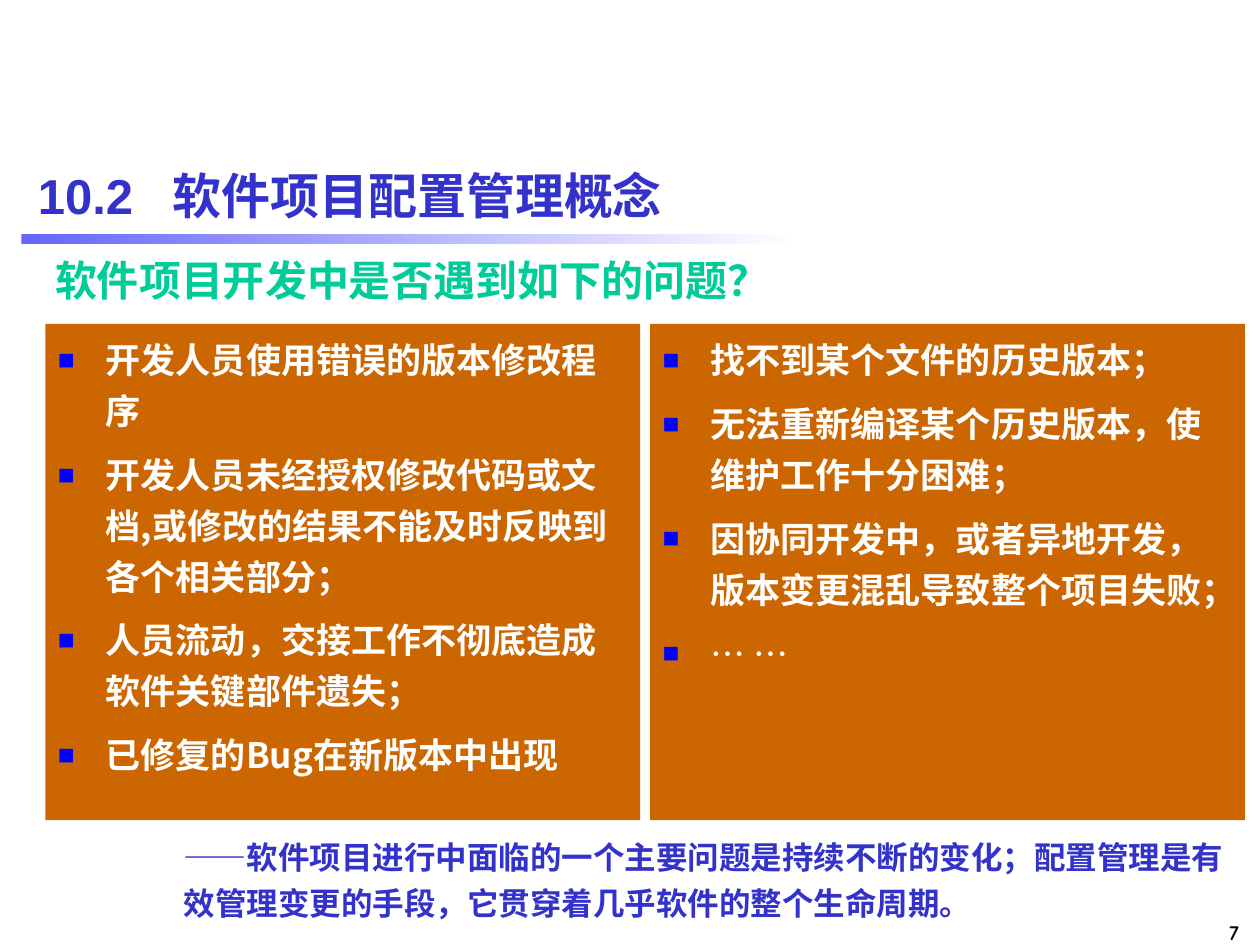
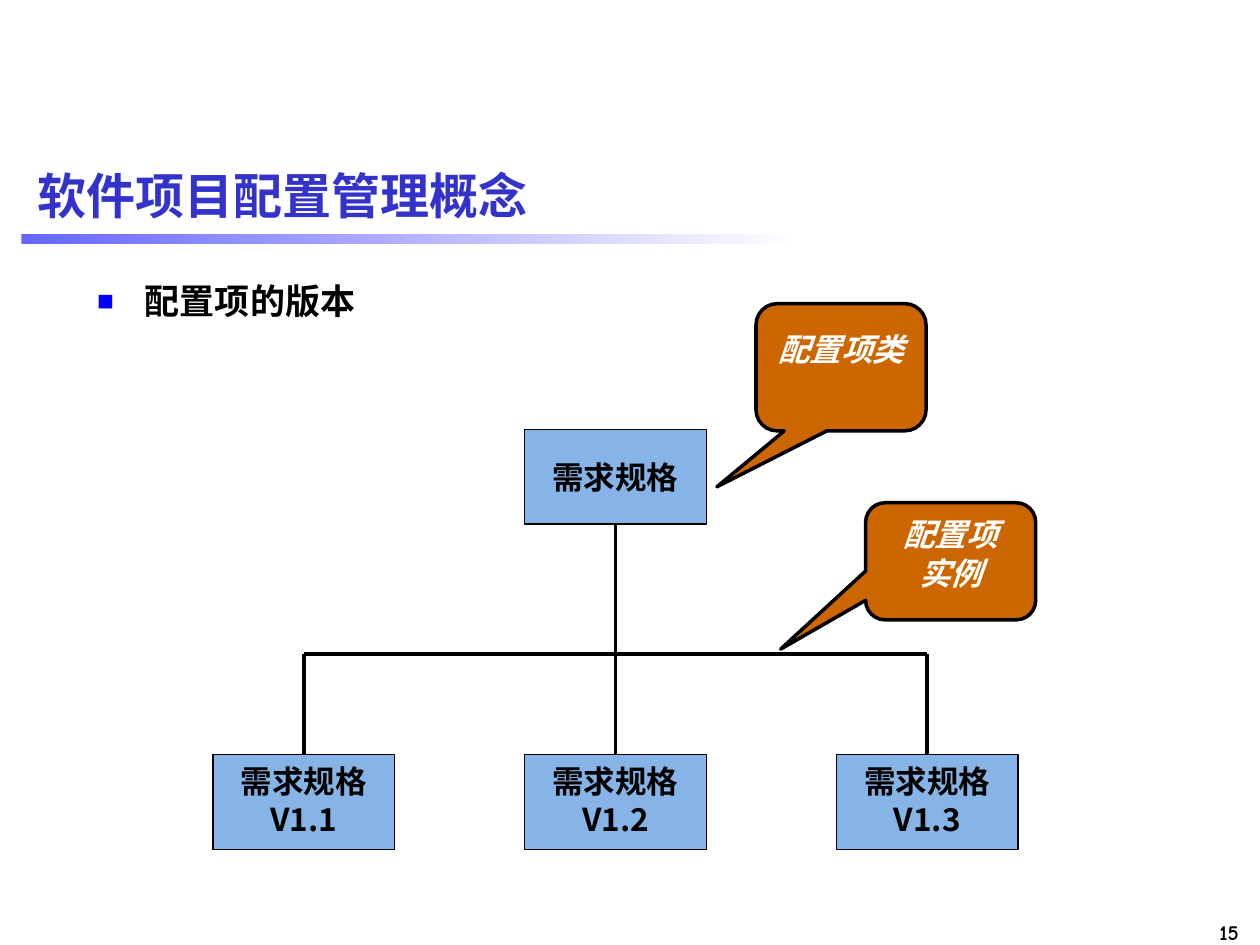
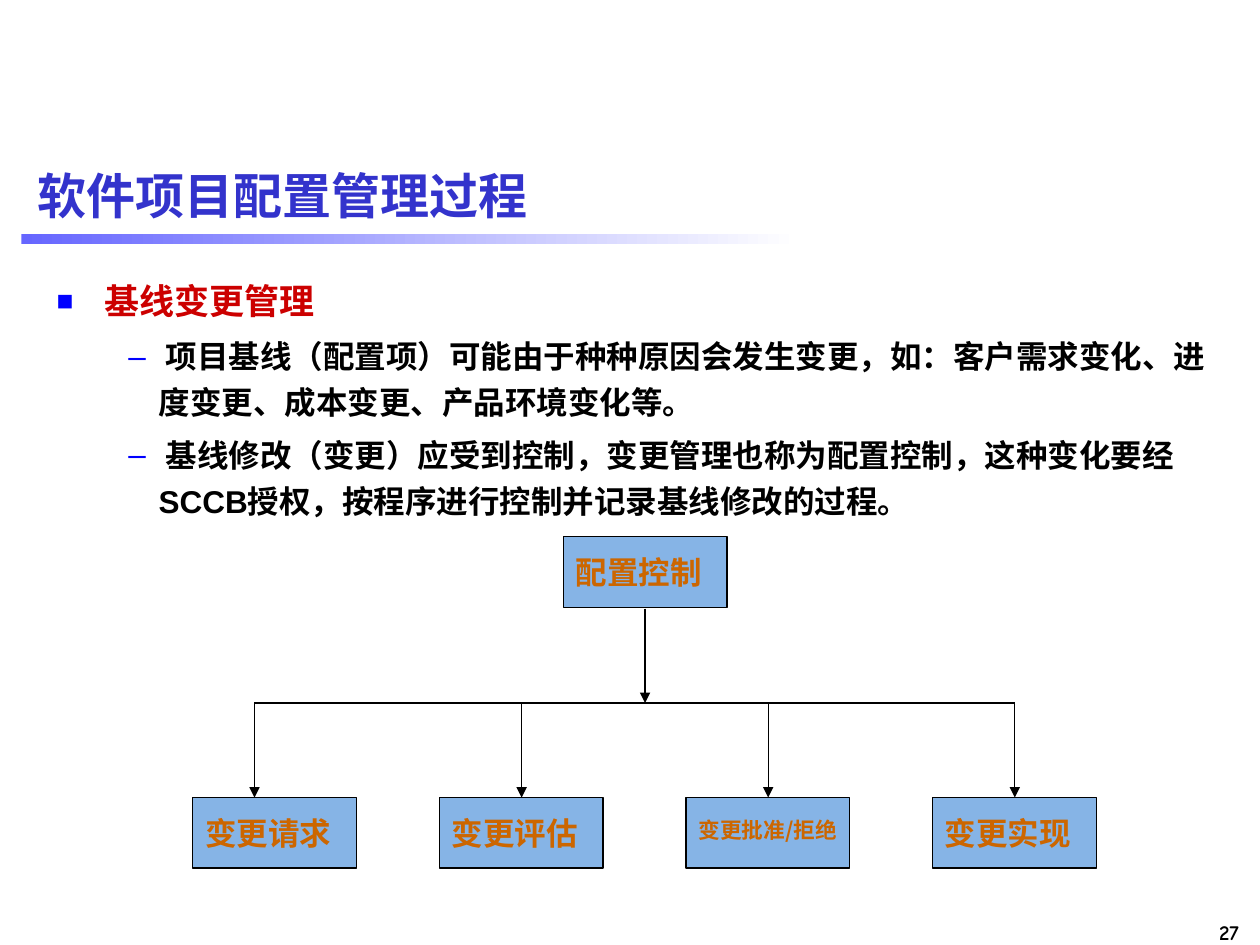
from lxml.etree import SubElement
from pptx import Presentation
from pptx.dml.color import RGBColor
from pptx.enum.shapes import MSO_CONNECTOR, MSO_SHAPE
from pptx.enum.text import MSO_ANCHOR, MSO_AUTO_SIZE, PP_ALIGN
from pptx.oxml.ns import qn
from pptx.util import Inches, Pt

COLORS = {
    "title": "3333CC",
    "band": "6666FF",
    "question": "00CC99",
    "panel": "CC6600",
    "box": "86B4E6",
    "bullet": "0000FF",
    "heading": "CC0000",
    "black": "000000",
    "white": "FFFFFF",
}
HAN = "Noto Sans CJK SC"
ARIAL = "Arial"
TIMES = "Times New Roman"
NUMBER_FACE = "Comic Neue"
LINE_HEIGHT = 1.21
TITLE_AND_BODY, TWO_BODIES = 1, 3


def rgb(name):
    return RGBColor.from_string(COLORS[name])


def style_run(run, size, color, face=HAN, bold=True, italic=False):
    font = run.font
    font.size = Pt(size)
    font.bold = bold
    font.italic = italic
    font.color.rgb = rgb(color)
    font.name = face
    SubElement(run._r.get_or_add_rPr(), qn("a:ea"), typeface=HAN)


def style_paragraph(paragraph, size, color, face=HAN, align=PP_ALIGN.LEFT,
                    spacing=1, before=0, bold=True, italic=False):
    paragraph.alignment = align
    paragraph.line_spacing = Pt(round(size * LINE_HEIGHT * spacing))
    paragraph.space_before = Pt(before)
    for run in paragraph.runs:
        style_run(run, size, color, face, bold, italic)


def set_frame(frame, anchor=MSO_ANCHOR.TOP, side=0.1, edge=0.05, bottom=None):
    frame.word_wrap = True
    frame.auto_size = MSO_AUTO_SIZE.NONE
    frame.vertical_anchor = anchor
    frame.margin_left = frame.margin_right = Inches(side)
    frame.margin_top = Inches(edge)
    frame.margin_bottom = Inches(edge if bottom is None else bottom)


def place(shape, left, top, width, height):
    shape.left, shape.top = Inches(left), Inches(top)
    shape.width, shape.height = Inches(width), Inches(height)


def add_bullet(paragraph, mark, margin, hang):
    properties = paragraph._p.get_or_add_pPr()
    properties.set("marL", str(Inches(margin)))
    properties.set("indent", str(-Inches(hang)))
    color = SubElement(properties, qn("a:buClr"))
    SubElement(color, qn("a:srgbClr"), val=COLORS["bullet"])
    if mark == "■":
        SubElement(properties, qn("a:buSzPct"), val="80000")
    SubElement(properties, qn("a:buFont"), typeface=ARIAL)
    SubElement(properties, qn("a:buChar"), char=mark)


def fill_list(body, area, items, color, spacing=1.2):
    place(body, *area)
    frame = body.text_frame
    frame.text = "\n".join(items)
    set_frame(frame)
    for order, paragraph in enumerate(frame.paragraphs):
        add_bullet(paragraph, "■", 0.38, 0.38)
        style_paragraph(paragraph, 20, color, spacing=spacing,
                        before=7.5 if order else 0)


def add_sub_item(frame, pieces):
    paragraph = frame.add_paragraph()
    paragraph.level = 1
    add_bullet(paragraph, "–", 0.81, 0.24)
    style_paragraph(paragraph, 18, "black", spacing=1.2, before=4.5)
    for text, face in pieces:
        run = paragraph.add_run()
        run.text = text
        style_run(run, 18, "black", face)


def add_text(slide, area, text, size, color, face, side=0, edge=0, **layout):
    frame = slide.shapes.add_textbox(*map(Inches, area)).text_frame
    frame.text = text
    set_frame(frame, side=side, edge=edge)
    style_paragraph(frame.paragraphs[0], size, color, face, **layout)
    return frame


def add_band(slide):
    band = slide.shapes.add_shape(MSO_SHAPE.RECTANGLE, Inches(0.17), Inches(1.86),
                                  Inches(6.17), Inches(0.08))
    band.shadow.inherit = False
    band.line.fill.background()
    band.fill.gradient()
    band.fill.gradient_angle = 0
    for stop, color in zip(band.fill.gradient_stops, ("band", "white")):
        stop.color.rgb = rgb(color)


def add_slide(deck, layout, heading, number):
    slide = deck.slides.add_slide(deck.slide_layouts[layout])
    add_band(slide)
    title = slide.shapes.title
    place(title, 0.2, 1.15, 9.61, 0.79)
    title.text_frame.text = heading
    set_frame(title.text_frame, MSO_ANCHOR.MIDDLE)
    style_paragraph(title.text_frame.paragraphs[0], 28, "title", ARIAL)
    add_text(slide, (9.01, 7.24, 0.92, 0.26), number, 12, "black", NUMBER_FACE,
             side=0.1, edge=0.05, align=PP_ALIGN.RIGHT)
    return slide


def add_label(slide, kind, area, text, fill, weight, size, color, face,
              anchor=MSO_ANCHOR.MIDDLE, bottom=0.05, **layout):
    label = slide.shapes.add_shape(kind, *map(Inches, area))
    label.shadow.inherit = False
    label.fill.solid()
    label.fill.fore_color.rgb = rgb(fill)
    label.line.color.rgb = rgb("black")
    label.line.width = Pt(weight)
    label.text_frame.text = text
    set_frame(label.text_frame, anchor, bottom=bottom)
    for paragraph in label.text_frame.paragraphs:
        style_paragraph(paragraph, size, color, face, **layout)
    return label


def add_box(slide, area, text, size=18, color="black", face=HAN, **layout):
    add_label(slide, MSO_SHAPE.RECTANGLE, area, text, "box", 0.75,
              size, color, face, **layout)


def add_callout(slide, area, text, tip, **layout):
    callout = add_label(slide, MSO_SHAPE.ROUNDED_RECTANGULAR_CALLOUT, area, text,
                        "panel", 2, 18, "white", TIMES, align=PP_ALIGN.CENTER,
                        italic=True, **layout)
    callout.adjustments[0], callout.adjustments[1] = tip
    callout.adjustments[2] = 0.167


def add_line(slide, start, end, weight, arrow=False):
    line = slide.shapes.add_connector(MSO_CONNECTOR.STRAIGHT,
                                      *map(Inches, start + end))
    line.line.color.rgb = rgb("black")
    line.line.width = Pt(weight)
    if arrow:
        SubElement(line.line._get_or_add_ln(), qn("a:tailEnd"), type="triangle")
    SubElement(line._element.spPr, qn("a:effectLst"))


def add_branches(slide, trunk, branches, top, bus, bottom, weight, arrow=False):
    add_line(slide, (branches[0], bus), (branches[-1], bus), weight)
    add_line(slide, (trunk, top), (trunk, bus), weight, arrow)
    for x in branches:
        add_line(slide, (x, bus), (x, bottom), weight, arrow)


def build_problems(deck):
    slide = add_slide(deck, TWO_BODIES, "10.2\t软件项目配置管理概念", "7")
    heading = slide.shapes.title.text_frame.paragraphs[0]
    stops = SubElement(heading._p.get_or_add_pPr(), qn("a:tabLst"))
    SubElement(stops, qn("a:tab"), pos=str(Inches(1.07)), algn="l")
    add_text(slide, (0, 2.02, 6.54, 0.4), "软件项目开发中是否遇到如下的问题？",
             24, "question", ARIAL, align=PP_ALIGN.CENTER)
    columns = [
        ["开发人员使用错误的版本修改程序",
         "开发人员未经授权修改代码或文档,或修改的结果不能及时反映到各个相关部分；",
         "人员流动，交接工作不彻底造成软件关键部件遗失；",
         "已修复的Bug在新版本中出现"],
        ["找不到某个文件的历史版本；",
         "无法重新编译某个历史版本，使维护工作十分困难；",
         "因协同开发中，或者异地开发，版本变更混乱导致整个项目失败；",
         "… …"],
    ]
    for order, problems in enumerate(columns):
        panel = slide.placeholders[order + 1]
        fill_list(panel, (0.36 + 4.8 * order, 2.57, 4.72, 3.94), problems, "white")
        panel.fill.solid()
        panel.fill.fore_color.rgb = rgb("panel")
    panel.text_frame.paragraphs[-1].runs[0].font.bold = False
    add_text(slide, (1.46, 6.59, 8.43, 0.72),
             "——软件项目进行中面临的一个主要问题是持续不断的变化；配置管理是有"
             "效管理变更的手段，它贯穿着几乎软件的整个生命周期。",
             18, "title", HAN, spacing=1.2)


def build_versions(deck):
    slide = add_slide(deck, TITLE_AND_BODY, "软件项目配置管理概念", "15")
    fill_list(slide.placeholders[1], (0.67, 2.17, 9.14, 5.32), ["配置项的版本"],
              "black", spacing=1)
    width, height, step = 1.44, 0.75, 2.475
    lefts = [1.69 + step * order for order in range(3)]
    add_box(slide, (lefts[1], 3.41, width, height), "需求规格",
            align=PP_ALIGN.CENTER)
    for order, left in enumerate(lefts, 1):
        add_box(slide, (left, 5.99, width, height), f"需求规格V1.{order}",
                anchor=MSO_ANCHOR.TOP, align=PP_ALIGN.CENTER)
    centers = [left + width / 2 for left in lefts]
    add_branches(slide, centers[1], centers, 4.16, 5.19, 5.99, 2.25)
    add_callout(slide, (6, 2.41, 1.35, 1.01), "配置项类", (-0.73, 0.94), bottom=0.35)
    add_callout(slide, (6.87, 3.99, 1.35, 0.93), "配置项\n实例", (-1, 0.75),
                anchor=MSO_ANCHOR.TOP)


def build_change_control(deck):
    slide = add_slide(deck, TITLE_AND_BODY, "软件项目配置管理过程", "27")
    body = slide.placeholders[1]
    fill_list(body, (0.35, 2.1, 9.45, 5.4), ["基线变更管理"], "heading")
    add_sub_item(body.text_frame, [
        (" 项目基线（配置项）可能由于种种原因会发生变更，如：客户需求变化、进度变更、"
         "成本变更、产品环境变化等。", HAN)])
    add_sub_item(body.text_frame, [
        (" 基线修改（变更）应受到控制，变更管理也称为配置控制，这种变化要经", HAN),
        ("SCCB", ARIAL),
        ("授权，按程序进行控制并记录基线修改的过程。", HAN)])
    width, height, step = 1.3, 0.56, 1.957
    wide = {"color": "panel", "face": TIMES, "align": PP_ALIGN.JUSTIFY}
    tight = {"size": 12.4, "color": "panel", "align": PP_ALIGN.CENTER, "spacing": 0.8}
    add_box(slide, (4.47, 4.26, width, height), "配置控制", **wide)
    steps = [("变更请求", wide), ("变更评估", wide),
             ("变更批准/拒绝", tight), ("变更实现", wide)]
    for order, (text, look) in enumerate(steps):
        add_box(slide, (1.53 + step * order, 6.33, width, height), text, **look)
    arrows = [2.02] + [4.14 + step * order for order in range(3)]
    add_branches(slide, 5.12, arrows, 4.83, 5.58, 6.33, 0.75, arrow=True)


def main():
    deck = Presentation()
    deck.slide_width, deck.slide_height = Inches(10), Inches(7.5)
    build_problems(deck)
    build_versions(deck)
    build_change_control(deck)
    deck.save("out.pptx")


if __name__ == "__main__":
    main()
